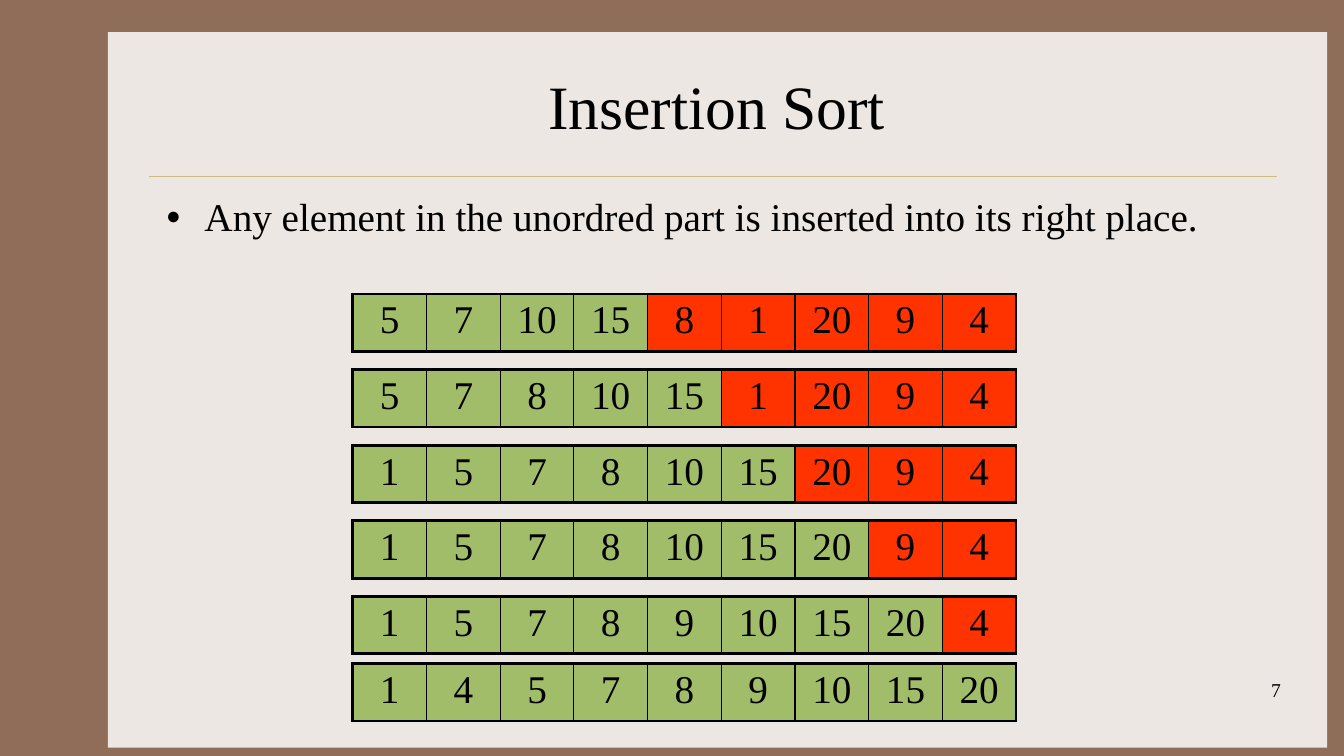
from lxml import etree
from pptx import Presentation
from pptx.dml.color import RGBColor
from pptx.enum import shapes, text
from pptx.oxml.ns import qn
from pptx.util import Pt

BLACK, SORTED, UNSORTED = "000000", "A1BD69", "FF3300"


def rgb(color):
    return RGBColor.from_string(color)


def write(tf, content, size, align, **frame):
    for name, value in frame.items():
        setattr(tf, name, value)
    p = tf.paragraphs[0]
    p.alignment = align
    r = p.add_run()
    r.text = content
    for name, value in {"name": "Times New Roman", "size": Pt(size), "bold": False}.items():
        setattr(r.font, name, value)
    r.font.color.rgb = rgb(BLACK)
    return p


prs = Presentation()
prs.slide_width, prs.slide_height = Pt(960), Pt(540)
s = prs.slides.add_slide(prs.slide_layouts[5])
s.background.fill.solid()
s.background.fill.fore_color.rgb = rgb("906D58")

# Panel and rule behind the title
title = s.shapes.title
panel = s.shapes.add_shape(shapes.MSO_SHAPE.RECTANGLE, Pt(77), Pt(23), Pt(871), Pt(511))
panel.shadow.inherit = False
panel.fill.solid()
panel.fill.fore_color.rgb = rgb("EDE7E3")
panel.line.fill.background()
rule = s.shapes.add_connector(shapes.MSO_CONNECTOR.STRAIGHT, Pt(106.5), Pt(126), Pt(912), Pt(126))
rule.line.color.rgb = rgb("CBBD83")
rule.line.width = Pt(0.25)
etree.SubElement(rule.element.spPr, qn("a:effectLst"))
for sp in (panel, rule):
    title.element.addprevious(sp.element)

# Title, bullet and page number
title.left, title.top, title.width, title.height = Pt(112), Pt(30), Pt(800), Pt(90)
write(title.text_frame, "Insertion Sort", 44, text.PP_ALIGN.CENTER,
      vertical_anchor=text.MSO_ANCHOR.MIDDLE, word_wrap=True)

body = s.shapes.add_textbox(Pt(112), Pt(138), Pt(800), Pt(50))
p = write(body.text_frame, "Any element in the unordred part is inserted into its right place.",
          28, text.PP_ALIGN.LEFT, word_wrap=True)
p.line_spacing = 0.9
pPr = p._p.get_or_add_pPr()
pPr.set("marL", str(Pt(27)))
pPr.set("indent", str(-Pt(27)))
etree.SubElement(pPr, qn("a:buFont"), typeface="Arial")
etree.SubElement(pPr, qn("a:buChar"), char="•")

number = s.shapes.add_textbox(Pt(722), Pt(481), Pt(200), Pt(36))
write(number.text_frame, "7", 14, text.PP_ALIGN.RIGHT, word_wrap=True)

# One table per pass: top, length of the sorted part, values
passes = [
    (210, 4, [5, 7, 10, 15, 8, 1, 20, 9, 4]),
    (264, 5, [5, 7, 8, 10, 15, 1, 20, 9, 4]),
    (318, 6, [1, 5, 7, 8, 10, 15, 20, 9, 4]),
    (372, 7, [1, 5, 7, 8, 10, 15, 20, 9, 4]),
    (426, 8, [1, 5, 7, 8, 9, 10, 15, 20, 4]),
    (474, 9, [1, 4, 5, 7, 8, 9, 10, 15, 20]),
]
for top, sorted_count, values in passes:
    last = len(values) - 1
    table = s.shapes.add_table(1, len(values), Pt(252), Pt(top), Pt(474), Pt(41)).table
    table.first_row = table.horz_banding = False
    for i, value in enumerate(values):
        table.columns[i].width = Pt(52.65)
        cell = table.cell(0, i)
        write(cell.text_frame, str(value), 28, text.PP_ALIGN.CENTER)
        tcPr = cell._tc.get_or_add_tcPr()
        borders = {"L": 1 if i else 2.25, "R": 1 if i < last else 2.25, "T": 2.25, "B": 2.25}
        for side, width in borders.items():
            ln = etree.SubElement(tcPr, qn(f"a:ln{side}"), w=str(Pt(width)))
            fill = etree.SubElement(ln, qn("a:solidFill"))
            etree.SubElement(fill, qn("a:srgbClr"), val=BLACK)
        cell.fill.solid()
        cell.fill.fore_color.rgb = rgb(SORTED if i < sorted_count else UNSORTED)

prs.save("out.pptx")
